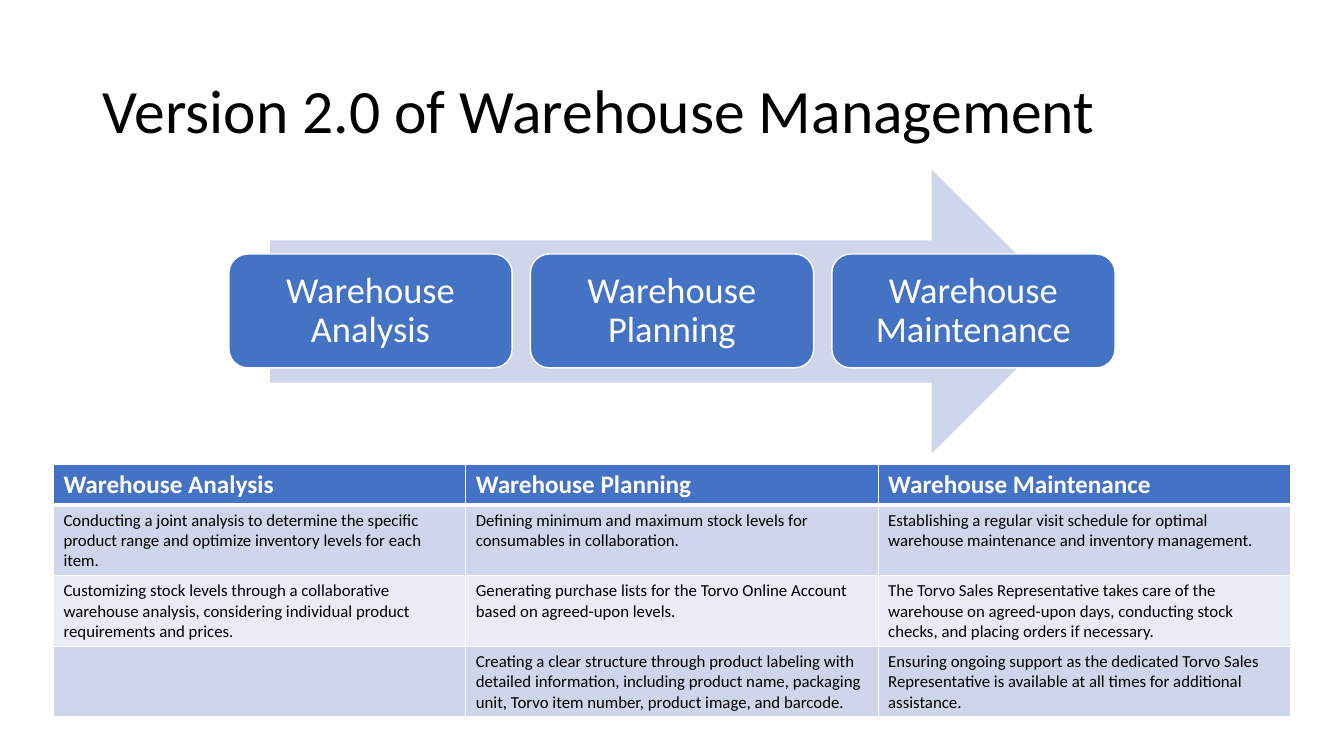
from dataclasses import dataclass

from lxml.etree import SubElement
from pptx import Presentation
from pptx.dml.color import RGBColor
from pptx.enum.shapes import MSO_SHAPE
from pptx.enum.text import MSO_ANCHOR, PP_ALIGN
from pptx.oxml.ns import qn
from pptx.shapes.autoshape import Shape
from pptx.shapes.group import GroupShape
from pptx.table import _Cell
from pptx.text.text import TextFrame
from pptx.util import Emu, Pt

EMU_PER_PX = 9144
BLUE, PALE_BLUE, ICE, WHITE, BLACK = "4472C4", "CFD5EA", "E9EBF5", "FFFFFF", "000000"
STAGE_LEFT, STAGE_STEP = 227, 299
COLUMN_WIDTH = 409
ROW_HEIGHTS = (30, 52, 52, 67)
ROW_FILLS = (BLUE, PALE_BLUE, ICE, PALE_BLUE)


@dataclass(frozen=True)
class Box:
    left: int
    top: int
    width: int
    height: int

    def emu(self) -> tuple[Emu, Emu, Emu, Emu]:
        return px(self.left), px(self.top), px(self.width), px(self.height)


@dataclass(frozen=True)
class Stage:
    name: str
    tasks: tuple[str, ...]


STAGES = (
    Stage("Warehouse Analysis", (
        "Conducting a joint analysis to determine the specific product range and "
        "optimize inventory levels for each item.",
        "Customizing stock levels through a collaborative warehouse analysis, "
        "considering individual product requirements and prices.",
    )),
    Stage("Warehouse Planning", (
        "Defining minimum and maximum stock levels for consumables in collaboration.",
        "Generating purchase lists for the Torvo Online Account based on agreed-upon levels.",
        "Creating a clear structure through product labeling with detailed information, "
        "including product name, packaging unit, Torvo item number, product image, and barcode.",
    )),
    Stage("Warehouse Maintenance", (
        "Establishing a regular visit schedule for optimal warehouse maintenance "
        "and inventory management.",
        "The Torvo Sales Representative takes care of the warehouse on agreed-upon days, "
        "conducting stock checks, and placing orders if necessary.",
        "Ensuring ongoing support as the dedicated Torvo Sales Representative is available "
        "at all times for additional assistance.",
    )),
)


def px(length: int) -> Emu:
    return Emu(length * EMU_PER_PX)


def color(value: str) -> RGBColor:
    return RGBColor.from_string(value)


def write(frame: TextFrame, text: str, size: int, ink: str, bold: bool = False) -> None:
    run = frame.paragraphs[0].add_run()
    run.text = text
    run.font.name = "Calibri"
    run.font.size = Pt(size)
    run.font.bold = bold
    run.font.color.rgb = color(ink)


def add_block(group: GroupShape, preset: MSO_SHAPE, box: Box, fill: str) -> Shape:
    block = group.shapes.add_shape(preset, *box.emu())
    block.shadow.inherit = False
    block.fill.solid()
    block.fill.fore_color.rgb = color(fill)
    block.line.fill.background()
    return block


def add_stage(group: GroupShape, box: Box, stage: Stage) -> None:
    block = add_block(group, MSO_SHAPE.ROUNDED_RECTANGLE, box, BLUE)
    block.line.color.rgb = color(WHITE)
    block.line.width = Pt(1)
    frame = block.text_frame
    frame.word_wrap = True
    frame.vertical_anchor = MSO_ANCHOR.MIDDLE
    frame.margin_left = frame.margin_right = frame.margin_top = frame.margin_bottom = px(11)
    frame.paragraphs[0].alignment = PP_ALIGN.CENTER
    frame.paragraphs[0].line_spacing = 0.9
    write(frame, stage.name, 26, WHITE)


def style_cell(cell: _Cell, fill: str, bottom: int, top: int) -> None:
    properties = cell._tc.get_or_add_tcPr()
    for side, width in (("L", 1), ("R", 1), ("T", top), ("B", bottom)):
        border = SubElement(properties, qn(f"a:ln{side}"), w=str(Pt(width)))
        solid = SubElement(border, qn("a:solidFill"))
        SubElement(solid, qn("a:srgbClr"), val=WHITE)
    cell.fill.solid()
    cell.fill.fore_color.rgb = color(fill)


def main() -> None:
    presentation = Presentation()
    presentation.slide_width, presentation.slide_height = px(1333), px(750)
    slide = presentation.slides.add_slide(presentation.slide_layouts[6])

    title = slide.shapes.add_textbox(*Box(92, 40, 1150, 145).emu()).text_frame
    title.word_wrap = True
    title.vertical_anchor = MSO_ANCHOR.MIDDLE
    title.paragraphs[0].line_spacing = 0.9
    write(title, "Version 2.0 of Warehouse Management", 44, BLACK)

    process = slide.shapes.add_group_shape()
    add_block(process, MSO_SHAPE.RIGHT_ARROW, Box(268, 168, 797, 282), PALE_BLUE)
    for index, stage in enumerate(STAGES):
        add_stage(process, Box(STAGE_LEFT + index * STAGE_STEP, 252, 281, 113), stage)

    task_frame = slide.shapes.add_table(
        len(ROW_HEIGHTS), len(STAGES), *Box(53, 461, COLUMN_WIDTH * len(STAGES), 250).emu()
    )
    tasks = task_frame.table
    for row, height in zip(tasks.rows, ROW_HEIGHTS):
        row.height = px(height)
    task_frame.height = px(250)
    for column, stage in enumerate(STAGES):
        tasks.columns[column].width = px(COLUMN_WIDTH)
        texts = (stage.name, *stage.tasks)
        for row, fill in enumerate(ROW_FILLS):
            cell = tasks.cell(row, column)
            header = row == 0
            style_cell(cell, fill, 3 if header else 1, 3 if row == 1 else 1)
            if row < len(texts):
                write(cell.text_frame, texts[row], 18 if header else 12,
                      WHITE if header else BLACK, header)

    presentation.save("out.pptx")


if __name__ == "__main__":
    main()
